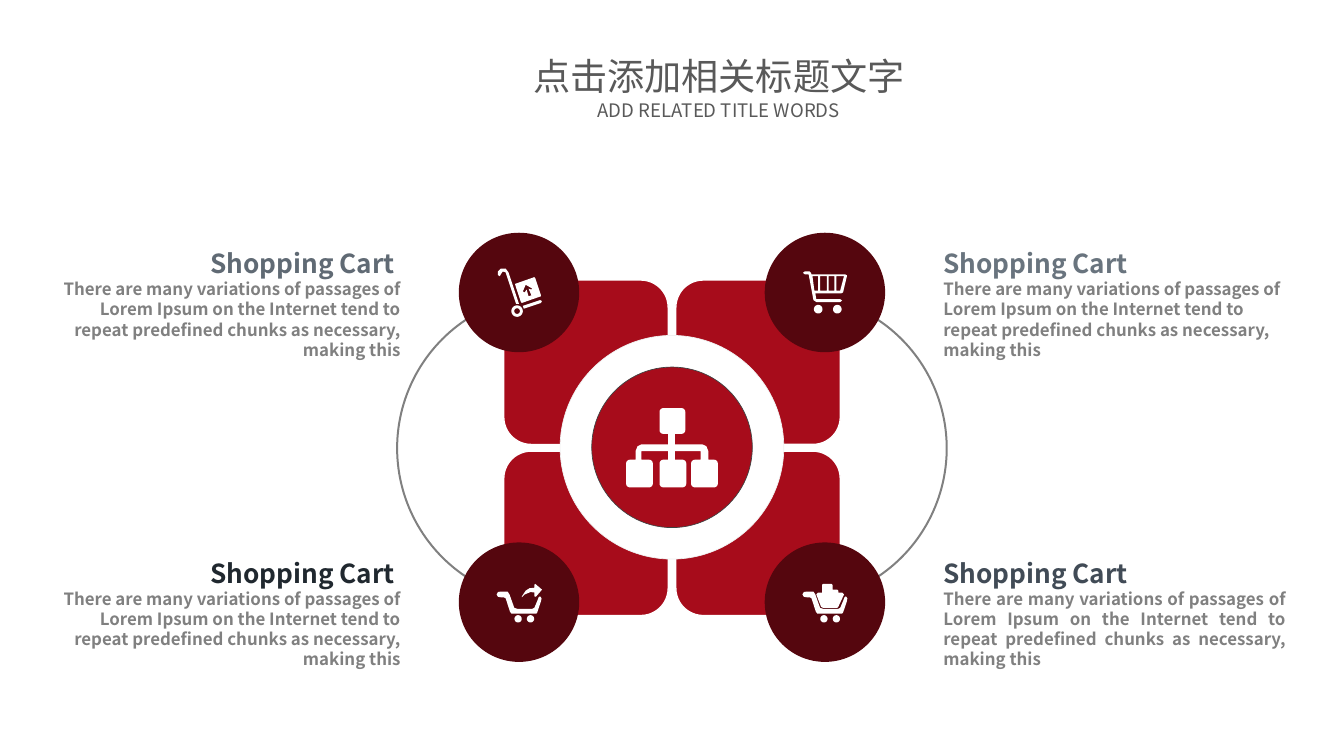
import math

from lxml import etree
from pptx import Presentation
from pptx.dml.color import RGBColor
from pptx.enum import shapes, text
from pptx.oxml import ns
from pptx.util import Inches, Pt

FONT = "Noto Sans CJK SC"
RED = RGBColor(0xA7, 0x0C, 0x1B)
MAROON = RGBColor(0x55, 0x06, 0x0E)
WHITE = RGBColor(0xFF, 0xFF, 0xFF)
PALE = RGBColor(0xF0, 0xF0, 0xF0)
CHARCOAL = RGBColor(0x3D, 0x42, 0x42)
GRAY = RGBColor(0x80, 0x80, 0x80)
TITLE_GRAY = RGBColor(0x59, 0x59, 0x59)

LEFT, RIGHT = text.PP_ALIGN.LEFT, text.PP_ALIGN.RIGHT
CENTER, JUSTIFY = text.PP_ALIGN.CENTER, text.PP_ALIGN.JUSTIFY
SHAPE = shapes.MSO_SHAPE

BODY = ("There are many variations of passages of Lorem Ipsum on the Internet "
        "tend to repeat predefined chunks as necessary, making this")


def arc_points(cx, cy, radius, start=0, sweep=360, steps=24):
    angles = [math.radians(start + sweep * i / steps) for i in range(steps + 1)]
    return [(cx + radius * math.cos(a), cy + radius * math.sin(a)) for a in angles]


def rounded_box(x, y, width, height, radius=4):
    corners = [(x + width - radius, y + height - radius), (x + radius, y + height - radius),
               (x + radius, y + radius), (x + width - radius, y + radius)]
    return [point for i, (cx, cy) in enumerate(corners)
            for point in arc_points(cx, cy, radius, 90 * i, 90, 4)]


# Icon outlines, in hundredths of an inch from the icon's centre.
TRAY = [(16, 6), (19, -1), (20.5, -5), (22, -6), (23.5, -4), (23, -1), (19, 11),
        (18, 12), (-8, 12), (-9.5, 10), (-14, -4), (-16, -5), (-19, -5),
        (-22, -5.5), (-23.5, -8), (-22, -10.5), (-19, -11), (-12, -11),
        (-10, -8), (-5, 6), (-2, 7), (14, 7)]
LOADED_CART = [TRAY, arc_points(-1, 17.5, 3.8), arc_points(12, 17.5, 3.8)]
SEND_ARROW = [(16, -7), (16, -10), (12, -10.5), (6, -8), (3, -5), (3, -6), (7, -12),
              (11, -14.5), (16, -15), (16, -18), (17, -19), (24, -13), (18, -6), (16.5, -5.5)]
GOODS = [(13, 6), (-2, 6), (-4, 5), (-9, -8), (-7, -10), (-3, -10), (-3, -18),
         (-2, -19), (7, -19), (8, -18), (8, -13), (13, -13), (14, -12), (14, -10),
         (18, -10), (20, -8), (14, 5)]
EMPTY_CART = [
    [(23, -17), (19, 0), (17, 1), (-10, 1), (-9, 7), (16, 7), (18, 8.5), (16, 10),
     (-9, 10), (-12, 8), (-17, -19), (-21, -19), (-23, -20.5), (-21, -22),
     (-16, -22), (-15, -21), (-14, -19), (21, -19), (23, -18)],
    [(-11, -2), (-7, -2), (-7, -17), (-13, -17)],
    [(-5, -2), (2, -2), (2, -17), (-5, -17)],
    [(4, -2), (10, -2), (10, -17), (4, -17)],
    [(12, -2), (16, -2), (20, -17), (12, -17)],
    arc_points(-7, 17.5, 4.5), arc_points(13, 17.5, 4.5)]
HAND_TRUCK = [
    [(17, -15), (23, 3), (23, 4), (3, 11), (2, 10), (-4, -8), (-4, -9), (16, -16)],
    [(14, -4), (7, -8), (4, -1), (6, 0), (8, -3), (10, 4), (13, 3), (10, -4), (13, -3)],
    [(22, 8), (4, 14), (5, 17), (23, 11), (24, 9)],
    [(-22, -18), (-22, -22), (-19, -25), (-14, -25), (-11, -21), (0, 12), (-3, 12),
     (-14, -21), (-17, -22), (-19, -19), (-20, -17)],
    arc_points(-2, 19.5, 6), arc_points(-2, 19.5, 3)]
HIERARCHY = [
    rounded_box(-13, -41, 27, 27),
    *(rounded_box(x, 13, 28, 29) for x in (-48, -13, 20)),
    [(-4, -14), (3, -14), (3, -3), (32, -3), (36, -1), (38, 4), (38, 13), (30, 13),
     (30, 4), (3, 4), (3, 13), (-4, 13), (-4, 4), (-32, 4), (-32, 13), (-38, 13),
     (-38, 4), (-36, -1), (-32, -3), (-4, -3)]]

# Centre, icon, text left, heading, heading colour, heading and body alignment.
TOPICS = [
    (5.43, 3.06, HAND_TRUCK, 0.51, "Shopping Cart ",
     RGBColor(0x60, 0x6A, 0x74), RIGHT, RIGHT),
    (8.63, 3.06, EMPTY_CART, 9.77, "Shopping Cart",
     RGBColor(0x69, 0x74, 0x7E), LEFT, LEFT),
    (5.43, 6.30, LOADED_CART + [SEND_ARROW], 0.51, "Shopping Cart ",
     RGBColor(0x20, 0x28, 0x2F), RIGHT, RIGHT),
    (8.63, 6.30, LOADED_CART + [GOODS], 9.77, "Shopping Cart",
     RGBColor(0x41, 0x4B, 0x56), LEFT, JUSTIFY)]


def write(paragraph, words, size, leading, color, align=LEFT, bold=False):
    paragraph.alignment = align
    paragraph.line_spacing = Pt(leading)
    paragraph.space_before = paragraph.space_after = Pt(0)
    run = paragraph.add_run()
    run.text = words
    run.font.name, run.font.size, run.font.bold = FONT, Pt(size), bold
    run.font.color.rgb = color
    east_asian = etree.SubElement(run.font._element, ns.qn("a:ea"))
    east_asian.set("typeface", FONT)


def prepare_frame(box, wrap, side=0.1):
    frame = box.text_frame
    frame.word_wrap = wrap
    frame.auto_size = text.MSO_AUTO_SIZE.NONE
    frame.vertical_anchor = text.MSO_ANCHOR.TOP
    frame.margin_left = frame.margin_right = Inches(side)
    frame.margin_top = frame.margin_bottom = Inches(0.05)
    return frame


def style(shape, fill=None, line=None, line_width=1):
    shape.shadow.inherit = False
    if fill is None:
        shape.fill.background()
    else:
        shape.fill.solid()
        shape.fill.fore_color.rgb = fill
    if line is None:
        shape.line.fill.background()
    else:
        shape.line.color.rgb = line
        shape.line.width = Pt(line_width)


def add_preset(slide, kind, cx, cy, width, height, **look):
    shape = slide.shapes.add_shape(kind, Inches(cx - width / 2), Inches(cy - height / 2),
                                   Inches(width), Inches(height))
    style(shape, **look)
    return shape


def add_arc(slide, cx, start, end):
    arc = add_preset(slide, SHAPE.ARC, cx, 4.69, 3.23, 3.23, line=GRAY, line_width=1.5)
    for i, degrees in enumerate((start, end)):
        arc.adjustments[i] = degrees * 0.6  # 60000ths of a degree over 100000


def add_icon(slide, cx, cy, outlines):
    placed = [[(Inches(cx + x / 100), Inches(cy + y / 100)) for x, y in outline]
              for outline in outlines]
    builder = slide.shapes.build_freeform(*placed[0][0], scale=1.0)
    for i, outline in enumerate(placed):
        if i:
            builder.move_to(*outline[0])
        builder.add_line_segments(outline[1:], close=True)
    style(builder.convert_to_shape(), fill=WHITE)


def add_titles(slide):
    title = slide.shapes.title
    title.left, title.top = Inches(5.45), Inches(0.48)
    title.width, title.height = Inches(4.14), Inches(0.58)
    subtitle = slide.shapes.add_textbox(Inches(6.01), Inches(0.97), Inches(3.02), Inches(0.34))
    for box, words, size, leading in ((title, "点击添加相关标题文字", 28, 36),
                                      (subtitle, "ADD RELATED TITLE WORDS", 14, 18)):
        frame = prepare_frame(box, wrap=False, side=0.11)
        write(frame.paragraphs[0], words, size, leading, TITLE_GRAY, align=CENTER)


def add_topic(slide, cx, cy, icon, left, heading, color, heading_align, body_align):
    add_preset(slide, SHAPE.OVAL, cx, cy, 1.26, 1.25, fill=MAROON)
    add_icon(slide, cx, cy, icon)
    box = slide.shapes.add_textbox(Inches(left), Inches(cy - 0.53), Inches(3.78), Inches(1.28))
    frame = prepare_frame(box, wrap=True)
    write(frame.paragraphs[0], heading, 19.7, 24.4, color, align=heading_align, bold=True)
    write(frame.add_paragraph(), BODY, 12.7, 15.2, GRAY, align=body_align, bold=True)


def main():
    deck = Presentation()
    deck.slide_width, deck.slide_height = Inches(14.06), Inches(7.91)
    slide = deck.slides.add_slide(deck.slide_layouts[5])
    add_titles(slide)
    add_arc(slide, 5.77, 17.37, 270)
    add_arc(slide, 8.29, 270, 162.63)
    for cy in (3.79, 5.58):
        for cx in (6.13, 7.93):
            add_preset(slide, SHAPE.ROUNDED_RECTANGLE, cx, cy, 1.72, 1.72, fill=RED, line=WHITE)
    for size, fill, line in ((2.34, WHITE, PALE), (1.68, RED, CHARCOAL)):
        add_preset(slide, SHAPE.OVAL, 7.03, 4.68, size, size, fill=fill, line=line, line_width=0.5)
    add_icon(slide, 7.03, 4.68, HIERARCHY)
    for topic in TOPICS:
        add_topic(slide, *topic)
    deck.save("out.pptx")


if __name__ == "__main__":
    main()
